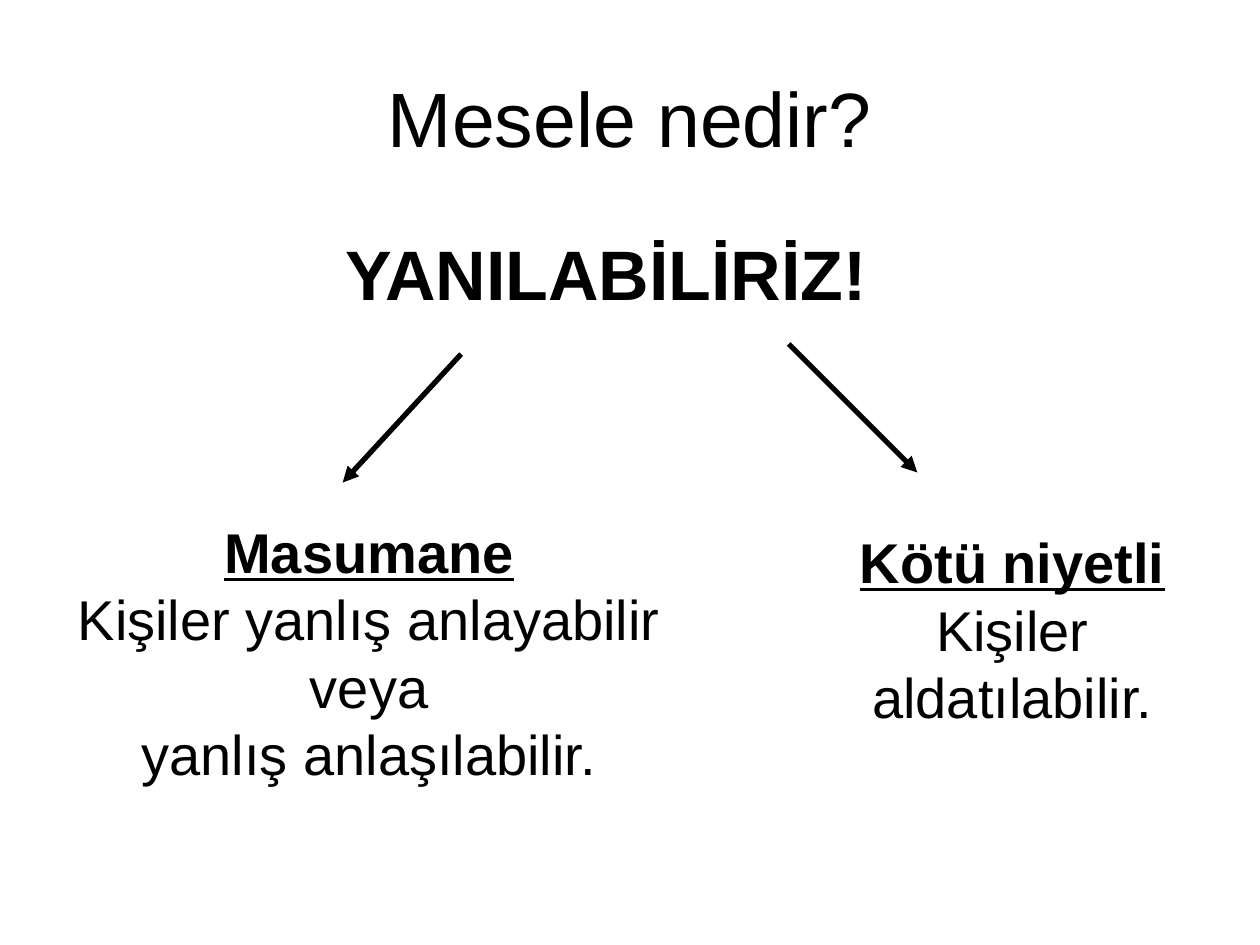
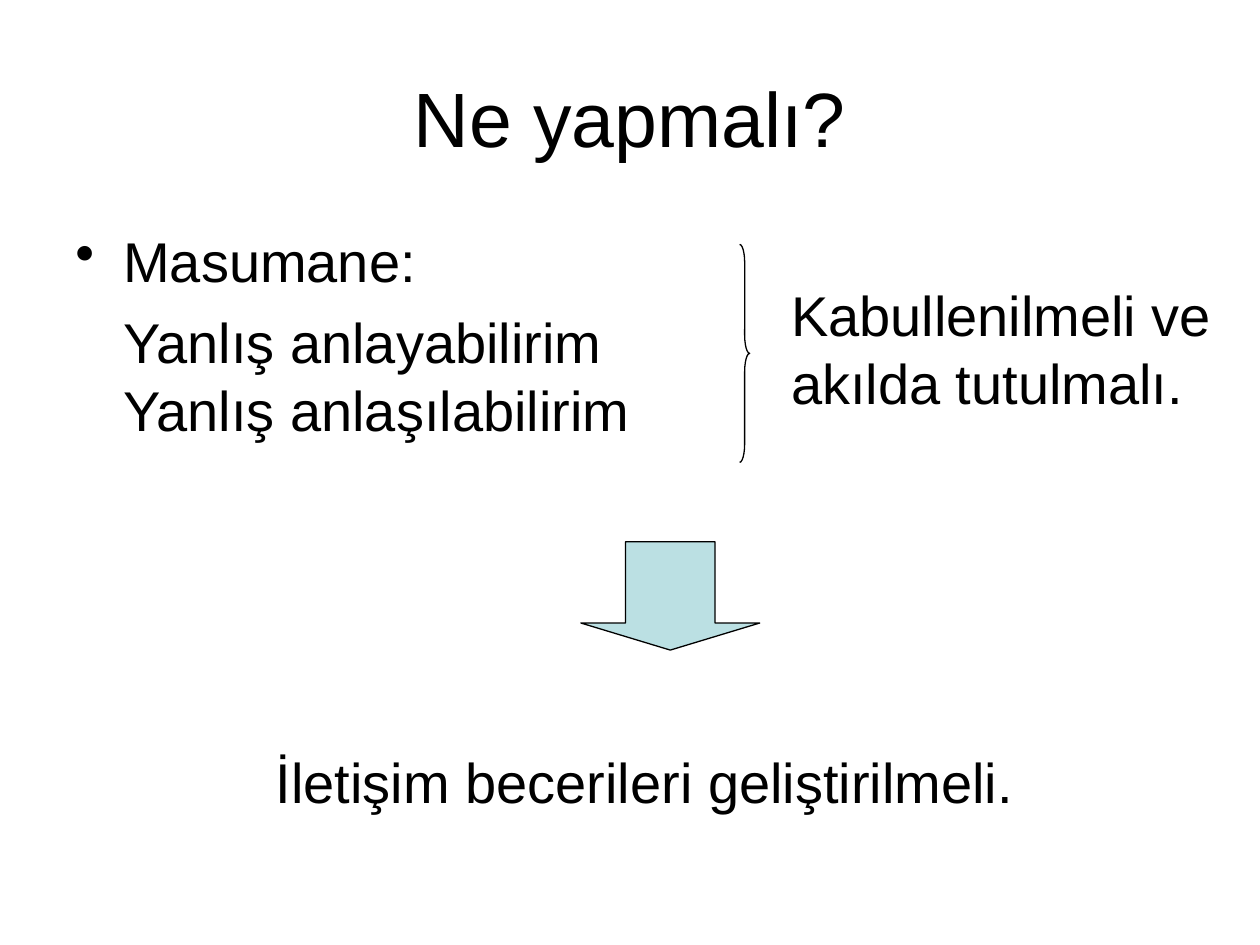
import pptx
import pptx.util
import pptx.dml.color
import pptx.enum.shapes
import pptx.enum.text
import pptx.oxml
import pptx.oxml.ns
from lxml import etree

PX = 9144  # EMU per px, 100 px to the inch
BLACK = pptx.dml.color.RGBColor(0x00, 0x00, 0x00)
PALE_TEAL = pptx.dml.color.RGBColor(0xBB, 0xE0, 0xE3)
FONT = "Arial"
BODY_SIZE = 32
TITLE_BOX = (50, 30, 900, 125)
BULLET_INDENT = 38

ALIGN = pptx.enum.text.PP_ALIGN
ANCHOR = pptx.enum.text.MSO_ANCHOR
SHAPE = pptx.enum.shapes.MSO_SHAPE
qn = pptx.oxml.ns.qn


def emu(*lengths):
    return [pptx.util.Emu(length * PX) for length in lengths]


def add_text(slide, box, text, size=BODY_SIZE, bold=False, align=ALIGN.LEFT,
             anchor=ANCHOR.TOP, wrap=True, heading=False, space_before=0):
    """Add one paragraph per line; heading makes the first bold and underlined."""
    tf = slide.shapes.add_textbox(*emu(*box)).text_frame
    tf.word_wrap = wrap
    tf.vertical_anchor = anchor
    for i, line in enumerate(text.split("\n")):
        p = tf.add_paragraph() if i else tf.paragraphs[0]
        p.alignment = align
        p.space_before = pptx.util.Pt(space_before)
        r = p.add_run()
        r.text = line
        is_heading = heading and i == 0
        r.font.name = FONT
        r.font.size = pptx.util.Pt(size)
        r.font.color.rgb = BLACK
        r.font.bold = bold or is_heading
        r.font.underline = is_heading
    return tf


def add_title(slide, text):
    add_text(slide, TITLE_BOX, text, size=44, align=ALIGN.CENTER,
             anchor=ANCHOR.MIDDLE)


def add_arrow(slide, start, end):
    line = slide.shapes.add_connector(
        pptx.enum.shapes.MSO_CONNECTOR.STRAIGHT, *emu(*start, *end))
    line.line.color.rgb = BLACK
    line.line.width = pptx.util.Pt(3)
    etree.SubElement(line.line._get_or_add_ln(), qn("a:tailEnd"), type="triangle")
    etree.SubElement(line._element.spPr, qn("a:effectLst"))


def add_outlined(slide, preset, box, adjustments, fill=None):
    sp = slide.shapes.add_shape(preset, *emu(*box))
    sp.shadow.inherit = False
    for i, value in enumerate(adjustments):
        sp.adjustments[i] = value
    if fill is None:
        sp.fill.background()
    else:
        sp.fill.solid()
        sp.fill.fore_color.rgb = fill
    sp.line.color.rgb = BLACK
    sp.line.width = pptx.util.Pt(0.75)


def indent_list(tf):
    """Bullet the first paragraph and align the rest with its text."""
    indent = BULLET_INDENT * PX
    for i, p in enumerate(tf.paragraphs):
        pPr = p._p.get_or_add_pPr()
        pPr.set("marL", str(indent))
        pPr.set("indent", str(0 if i else -indent))
        if i == 0:
            etree.SubElement(pPr, qn("a:buChar"), char="•")


def add_branch(slide, box, text, arrow_start, arrow_end):
    add_text(slide, box, text, align=ALIGN.CENTER, heading=True)
    add_arrow(slide, arrow_start, arrow_end)


def add_braced_list(slide, box, items, conclusion):
    left, top, width, height = box
    right = left + width
    indent_list(add_text(slide, box, items, space_before=8))
    add_outlined(slide, SHAPE.RIGHT_BRACE, (right, top + 19, 8, 173), (1.8, 0.5))
    add_text(slide, (right + 31, top + 43, 354, 117), conclusion, wrap=False)


def build_problem_slide(slide):
    add_title(slide, "Mesele nedir?")
    add_text(slide, (264, 178, 439, 77), "YANILABİLİRİZ!", size=40, bold=True,
             wrap=False)
    add_branch(slide, (43, 406, 500, 224),
               "Masumane\nKişiler yanlış anlayabilir veya\nyanlış anlaşılabilir.",
               (366, 281), (272, 383))
    add_branch(slide, (634, 414, 339, 170),
               "Kötü niyetli\nKişiler aldatılabilir.",
               (626, 273), (728, 375))


def build_solution_slide(slide):
    add_title(slide, "Ne yapmalı?")
    add_braced_list(slide, (50, 175, 537, 495),
                    "Masumane:\nYanlış anlayabilirim Yanlış anlaşılabilirim",
                    "Kabullenilmeli ve\nakılda tutulmalı.")
    add_outlined(slide, SHAPE.DOWN_ARROW, (461, 430, 142, 86), (0.5, 0.25),
                 fill=PALE_TEAL)
    add_text(slide, (209, 588, 709, 64), "İletişim becerileri geliştirilmeli.")


def main():
    prs = pptx.Presentation()
    prs.slide_width, prs.slide_height = emu(1000, 750)
    for build in (build_problem_slide, build_solution_slide):
        build(prs.slides.add_slide(prs.slide_layouts[6]))
    prs.save("out.pptx")


if __name__ == "__main__":
    main()
